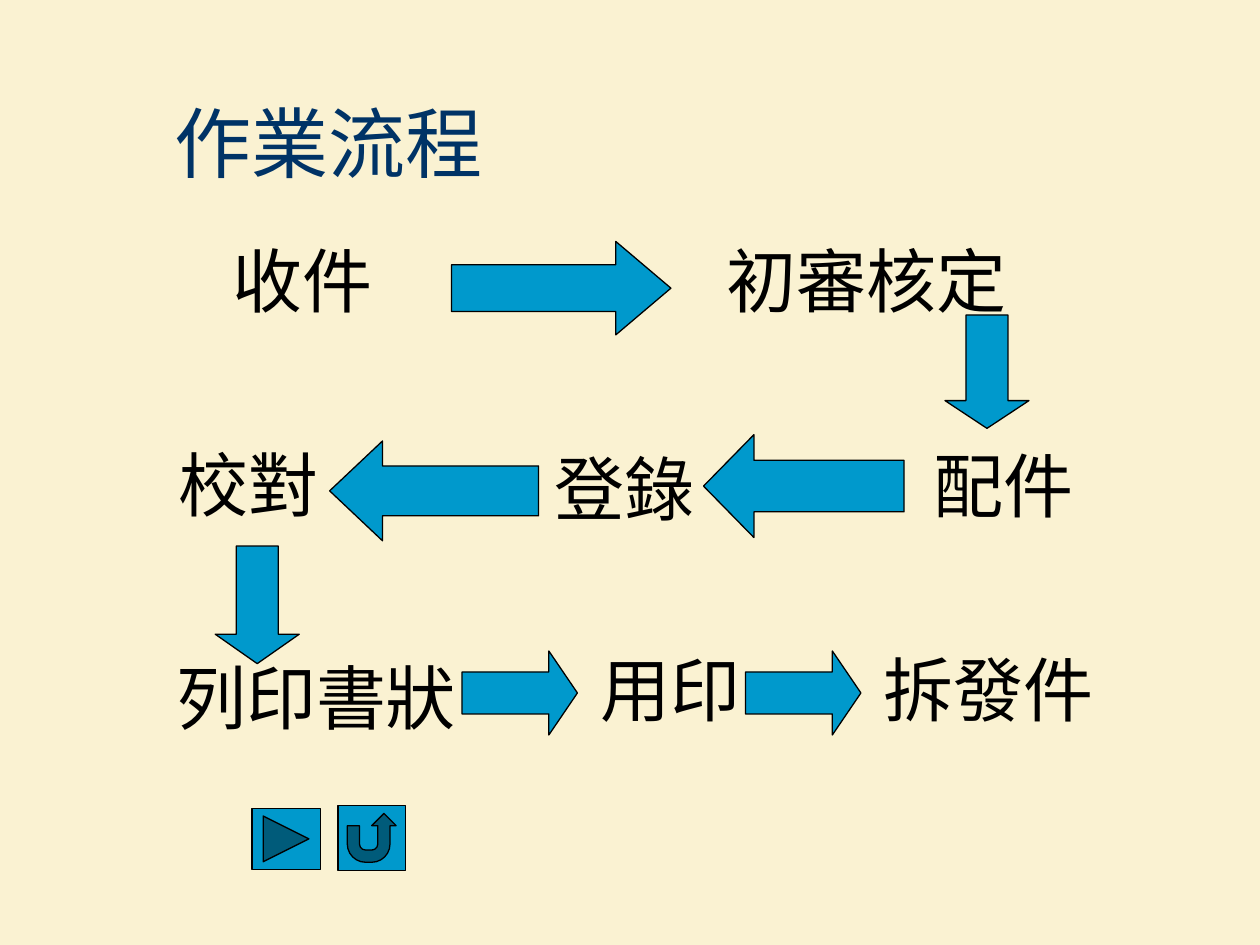
from pptx import Presentation
from pptx import util as u
from pptx.dml.color import RGBColor
from pptx.enum import shapes, text

COLUMNS, ROWS = 120, 90
SHAPE = shapes.MSO_SHAPE


def colour(hex_string):
    return RGBColor.from_string(hex_string)


class FlowSlide:
    font = "Times New Roman"
    background, title_colour, text_colour = "FAF2D2", "003366", "000000"
    fill, line = "0099CC", "000000"
    step_height = 9.25

    def __init__(self, presentation):
        self.column = presentation.slide_width / COLUMNS
        self.row = presentation.slide_height / ROWS
        self.slide = presentation.slides.add_slide(presentation.slide_layouts[5])
        background = self.slide.background.fill
        background.solid()
        background.fore_color.rgb = colour(self.background)

    def box(self, left, top, width, height):
        """Turn grid columns and rows into slide lengths."""
        return (u.Emu(round(left * self.column)), u.Emu(round(top * self.row)),
                u.Emu(round(width * self.column)), u.Emu(round(height * self.row)))

    def add_words(self, frame, words, size, hex_string):
        frame.word_wrap = True
        paragraph = frame.paragraphs[0]
        paragraph.alignment = text.PP_ALIGN.LEFT
        run = paragraph.add_run()
        run.text = words
        run.font.name = self.font
        run.font.size = u.Pt(size)
        run.font.color.rgb = colour(hex_string)

    def title(self, words, *place):
        shape = self.slide.shapes.title
        shape.left, shape.top, shape.width, shape.height = self.box(*place)
        shape.text_frame.vertical_anchor = text.MSO_ANCHOR.MIDDLE
        self.add_words(shape.text_frame, words, 44, self.title_colour)

    def step(self, words, left, top, width):
        place = self.box(left, top, width, self.step_height)
        frame = self.slide.shapes.add_textbox(*place).text_frame
        self.add_words(frame, words, 40, self.text_colour)
        frame.auto_size = text.MSO_AUTO_SIZE.SHAPE_TO_FIT_TEXT

    def preset(self, kind, *place):
        shape = self.slide.shapes.add_shape(kind, *self.box(*place))
        shape.shadow.inherit = False
        shape.fill.solid()
        shape.fill.fore_color.rgb = colour(self.fill)
        shape.line.color.rgb = colour(self.line)
        shape.line.width = u.Pt(0.75)
        return shape

    def arrow(self, kind, head, *place):
        """Draw a block arrow; head is its head length over its thickness."""
        shape = self.preset(kind, *place)
        shape.adjustments[0] = 0.5
        shape.adjustments[1] = head


STEPS = [
    ("收件", 21, 22, 17),
    ("初審核定", 68, 22, 34.8),
    ("配件", 87.7, 41.6, 19.4),
    ("登錄", 51.6, 41.8, 21.5),
    ("校對", 15.8, 41.5, 26.3),
    ("列印書狀", 15.6, 61.7, 29.3),
    ("用印", 56, 61, 17),
    ("拆發件", 83, 61, 26),
]
ARROWS = [
    (SHAPE.RIGHT_ARROW, 0.59, 43, 23, 20.9, 8.9),
    (SHAPE.DOWN_ARROW, 0.33, 90, 30, 8, 10.8),
    (SHAPE.LEFT_ARROW, 0.49, 67, 41.4, 19.1, 9.8),
    (SHAPE.LEFT_ARROW, 0.53, 31.4, 42, 19.9, 9.5),
    (SHAPE.DOWN_ARROW, 0.35, 20.5, 52, 8, 11.2),
    (SHAPE.RIGHT_ARROW, 0.34, 44, 62, 11, 8),
    (SHAPE.RIGHT_ARROW, 0.34, 71, 62, 11, 8),
]
BUTTONS = [
    (SHAPE.ACTION_BUTTON_FORWARD_OR_NEXT, 24, 77, 6.5, 5.8),
    (SHAPE.ACTION_BUTTON_RETURN, 32.2, 76.7, 6.4, 6.2),
]


def main():
    presentation = Presentation()
    presentation.slide_width, presentation.slide_height = u.Inches(10), u.Inches(7.5)
    flow = FlowSlide(presentation)
    flow.title("作業流程", 15.4, 6, 102, 15)
    for step in STEPS:
        flow.step(*step)
    for arrow in ARROWS:
        flow.arrow(*arrow)
    for button in BUTTONS:
        flow.preset(*button)
    presentation.save("out.pptx")


if __name__ == "__main__":
    main()
